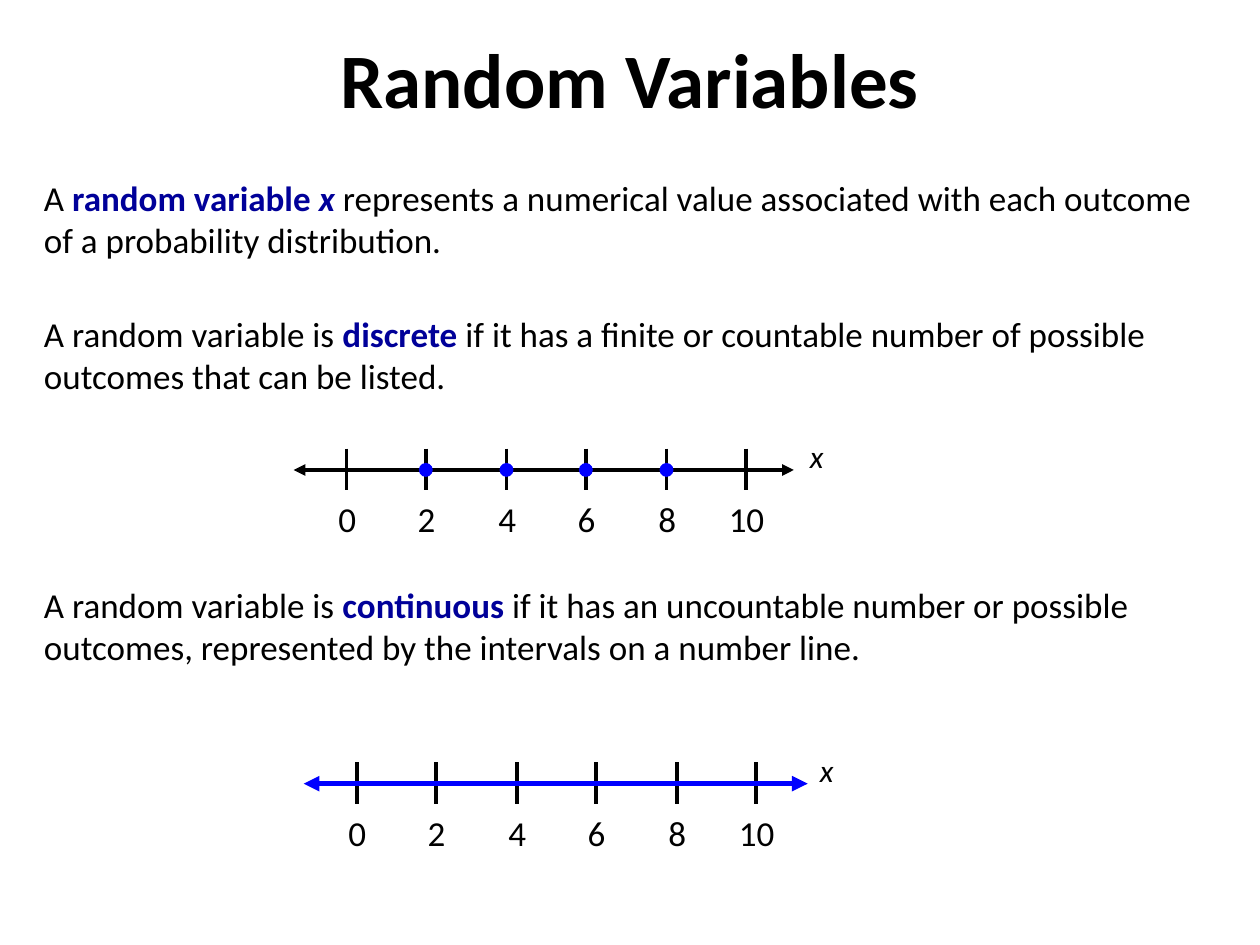
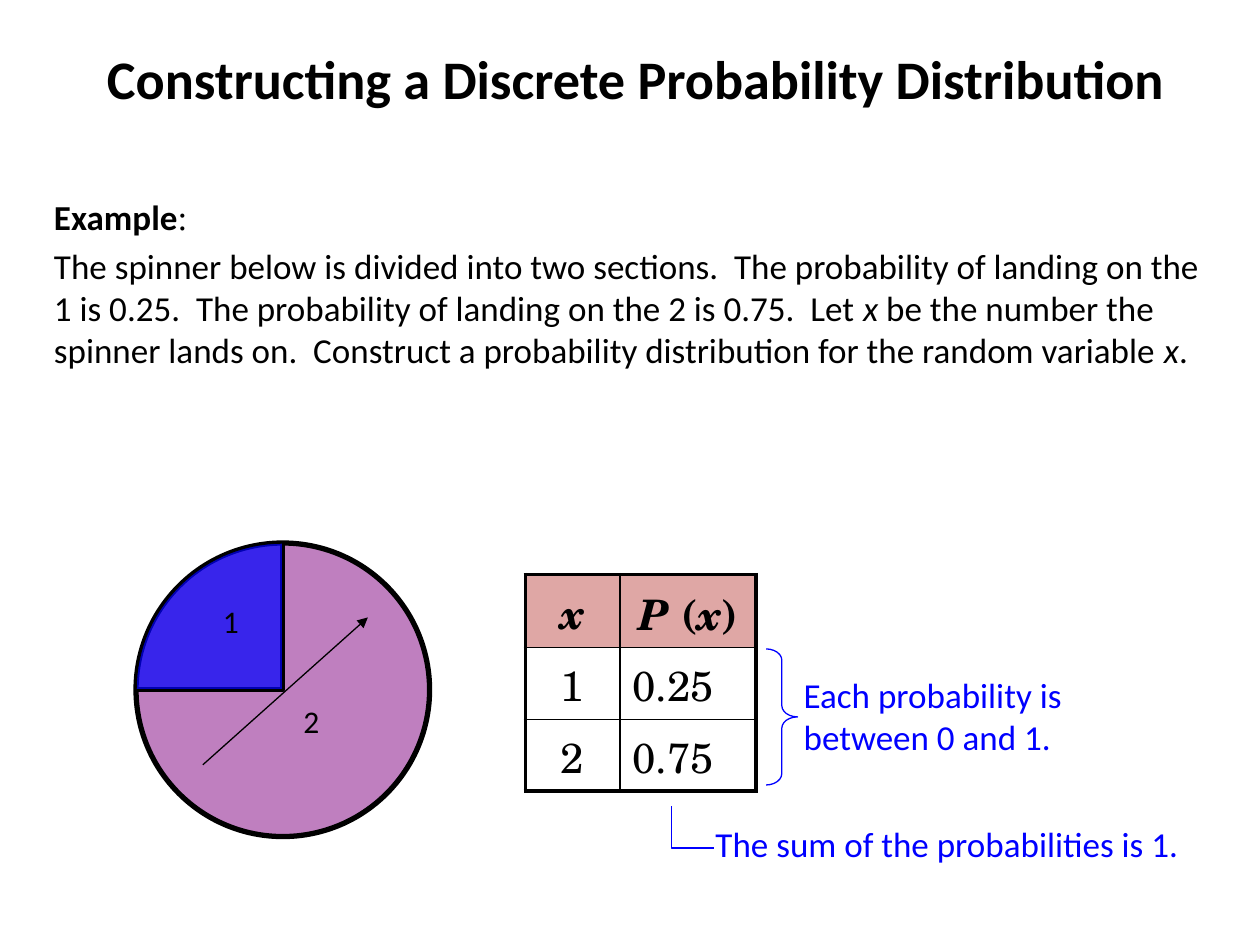
from dataclasses import dataclass, field
from math import cos, pi, sin
from typing import NamedTuple

from lxml.etree import SubElement
from pptx import Presentation
from pptx.dml.color import RGBColor
from pptx.enum.shapes import MSO_CONNECTOR, MSO_SHAPE
from pptx.enum.text import MSO_ANCHOR, PP_ALIGN
from pptx.oxml import parse_xml
from pptx.oxml.ns import nsdecls, qn
from pptx.util import Pt

SCALE = 9144
BLACK, NAVY, BLUE = "000000", "000099", "0000FF"
PURPLE, RED = "800080", "C0504D"
BODY = {"name": "Calibri", "size": Pt(20), "bold": False, "italic": False}
SMALL = {"size": Pt(18)}
BOLD = {"bold": True}
SLANT = {"italic": True}
MATH = {"name": "TeX Gyre Schola", "size": Pt(24)}
THIN, INNER, THICK, HEAVY = 0.75, 1, 2.25, 3


class Box(NamedTuple):
    left: int
    top: int
    width: int
    height: int


class Run(NamedTuple):
    text: str
    form: dict = {}
    color: str = BLACK


@dataclass
class Text:
    box: Box
    paras: list[list[Run]]
    align: PP_ALIGN = PP_ALIGN.LEFT
    anchor: MSO_ANCHOR = MSO_ANCHOR.TOP


@dataclass
class Axis:
    left: int
    top: int
    reach: int
    color: str = BLACK
    width: float = THICK
    dots: list[int] = field(default_factory=list)


def px(value: float) -> int:
    return round(value * SCALE)


def emu(*values: float) -> list[int]:
    return [px(value) for value in values]


def tint(code: str) -> RGBColor:
    return RGBColor.from_string(code)


def fade(node, percent: int) -> None:
    """Make the first solid colour under the node partly clear."""
    SubElement(node.find(".//" + qn("a:srgbClr")), qn("a:alpha"), val=str(percent * 1000))


def write(para, runs: list[Run], align: PP_ALIGN) -> None:
    para.alignment = align
    for part in runs:
        run = para.add_run()
        run.text = part.text
        for key, value in (BODY | part.form).items():
            setattr(run.font, key, value)
        run.font.color.rgb = tint(part.color)


def add_text(slide, text: Text) -> None:
    frame = slide.shapes.add_textbox(*emu(*text.box)).text_frame
    frame.word_wrap = True
    frame.vertical_anchor = text.anchor
    for i, runs in enumerate(text.paras):
        para = frame.add_paragraph() if i else frame.paragraphs[0]
        if i:
            para.space_before = Pt(4)
        write(para, runs, text.align)


def add_title(slide, box: Box, title: str, size: int) -> None:
    run = Run(title, BOLD | {"size": Pt(size)})
    add_text(slide, Text(box, [[run]], PP_ALIGN.CENTER, MSO_ANCHOR.MIDDLE))


def stroke(shape, color: str, width: float) -> None:
    shape.line.color.rgb = tint(color)
    shape.line.width = Pt(width)


def paint(shape, fill: str | None, line: str, width: float, alpha: int = 100) -> None:
    shape.shadow.inherit = False
    if fill is None:
        shape.fill.background()
    else:
        shape.fill.solid()
        shape.fill.fore_color.rgb = tint(fill)
        if alpha < 100:
            fade(shape.element.spPr, alpha)
    stroke(shape, line, width)


def add_shape(slide, kind: MSO_SHAPE, box: Box, fill: str | None, line: str,
              width: float = THIN, alpha: int = 100):
    shape = slide.shapes.add_shape(kind, *emu(*box))
    paint(shape, fill, line, width, alpha)
    return shape


def add_path(slide, points: list[tuple[float, float]], fill: str | None, line: str,
             width: float = THIN, alpha: int = 100) -> None:
    first, *rest = [emu(*point) for point in points]
    path = slide.shapes.build_freeform(*first)
    path.add_line_segments(rest, close=fill is not None)
    paint(path.convert_to_shape(), fill, line, width, alpha)


def add_line(slide, start: tuple[int, int], end: tuple[int, int], color: str = BLACK,
             width: float = THIN, ends: tuple[str, ...] = ()) -> None:
    line = slide.shapes.add_connector(MSO_CONNECTOR.STRAIGHT, *emu(*start, *end))
    stroke(line, color, width)
    for name in ends:
        SubElement(line.line._get_or_add_ln(), qn(f"a:{name}"), type="triangle")
    SubElement(line.element.spPr, qn("a:effectLst"))


def add_axis(slide, axis: Axis) -> None:
    """Draw a number line with ticks at 0, 2, ... 10."""
    spots = {2 * i: axis.left + round(63.4 * i) for i in range(6)}
    for num, x in spots.items():
        add_line(slide, (x, axis.top - 17), (x, axis.top + 16), width=THICK)
        wide = 69 if num > 9 else 51
        box = Box(x - wide // 2, axis.top + 17, wide, 43)
        add_text(slide, Text(box, [[Run(str(num))]], PP_ALIGN.CENTER))
    add_line(slide, (axis.left - 42, axis.top), (axis.left + axis.reach, axis.top),
             axis.color, axis.width, ("headEnd", "tailEnd"))
    box = Box(axis.left + 358, axis.top - 31, 50, 50)
    add_text(slide, Text(box, [[Run("x", SLANT | SMALL)]]))
    for num in axis.dots:
        add_shape(slide, MSO_SHAPE.OVAL, Box(spots[num] - 5, axis.top - 5, 10, 10), BLUE, BLUE)


def add_spinner(slide, box: Box) -> None:
    rad = box.width / 2
    mid_x, mid_y = box.left + rad, box.top + rad
    left, hub, top = (box.left, mid_y), (mid_x, mid_y), (mid_x, box.top)
    add_shape(slide, MSO_SHAPE.OVAL, box, PURPLE, BLACK, HEAVY, 50)
    add_path(slide, [left, hub, top], None, BLACK, HEAVY)
    steps = 30
    turns = [pi / 2 * (1 + i / steps) for i in range(steps + 1)]
    arc = [(mid_x + rad * cos(turn), mid_y - rad * sin(turn)) for turn in turns]
    add_path(slide, [hub, *arc], BLUE, BLACK, THIN, 70)
    for num, x, y in (("1", 167, 473), ("2", 231, 552)):
        add_text(slide, Text(Box(x, y, 58, 50), [[Run(num, SMALL)]]))
    add_line(slide, (161, 607), (292, 490), ends=("tailEnd",))


def add_edges(cell, row: int, col: int, rows: int, cols: int) -> None:
    """Give a cell thick borders on the rim and thin ones inside."""
    rims = {"L": col == 0, "R": col == cols - 1, "T": row == 0, "B": row == rows - 1}
    props = cell._tc.get_or_add_tcPr()
    for i, (side, rim) in enumerate(rims.items()):
        width = Pt(THICK if rim else INNER)
        props.insert(i, parse_xml(
            f'<a:ln{side} {nsdecls("a")} w="{width}"><a:solidFill>'
            f'<a:srgbClr val="{BLACK}"/></a:solidFill></a:ln{side}>'))


def add_grid(slide, box: Box, wides: list[int], highs: list[int],
             cells: list[list[list[Run]]]) -> None:
    table = slide.shapes.add_table(len(highs), len(wides), *emu(*box)).table
    table.first_row = table.horz_banding = False
    for col, wide in zip(table.columns, wides):
        col.width = px(wide)
    for r, high in enumerate(highs):
        table.rows[r].height = px(high)
        for c, runs in enumerate(cells[r]):
            cell = table.cell(r, c)
            cell.vertical_anchor = MSO_ANCHOR.MIDDLE
            if r:
                cell.fill.background()
            else:
                cell.fill.solid()
                cell.fill.fore_color.rgb = tint(RED)
                fade(cell._tc.get_or_add_tcPr(), 50)
            add_edges(cell, r, c, len(highs), len(wides))
            align = PP_ALIGN.LEFT if r and c else PP_ALIGN.CENTER
            write(cell.text_frame.paragraphs[0], runs, align)


def draw_terms(slide) -> None:
    add_title(slide, Box(0, 8, 1000, 108), "Random Variables", 44)
    facts = {
        135: [Run("A "), Run("random variable ", BOLD, NAVY), Run("x ", BOLD | SLANT, NAVY),
              Run("represents a numerical value associated with each outcome "
                  "of a probability distribution.")],
        243: [Run("A random variable is "), Run("discrete", BOLD, NAVY),
              Run(" if it has a finite or countable number of possible "
                  "outcomes that can be listed.")],
        458: [Run("A random variable is "), Run("continuous", BOLD, NAVY),
              Run(" if it has an uncountable number or possible outcomes, "
                  "represented by the intervals on a number line.")],
    }
    for top, runs in facts.items():
        add_text(slide, Text(Box(25, top, 945, 90), [runs]))
    add_axis(slide, Axis(275, 373, 355, dots=[2, 4, 6, 8]))
    add_axis(slide, Axis(283, 622, 358, BLUE, HEAVY))


def draw_sample(slide) -> None:
    add_title(slide, Box(-25, 8, 1058, 108),
              "Constructing a Discrete Probability Distribution", 31)
    add_text(slide, Text(Box(33, 150, 942, 190), [
        [Run("Example", BOLD), Run(":", {"name": "Times New Roman"})],
        [Run("The spinner below is divided into two sections.  The probability of landing "
             "on the 1 is 0.25.  The probability of landing on the 2 is 0.75.  Let "),
         Run("x", SLANT),
         Run(" be the number the spinner lands on.  Construct a probability distribution "
             "for the random variable "),
         Run("x", SLANT), Run(".")],
    ]))
    add_spinner(slide, Box(108, 431, 233, 233))
    head, lean = MATH | BOLD, MATH | BOLD | SLANT
    add_grid(slide, Box(417, 456, 183, 172), [75, 108], [58, 57, 57], [
        [[Run("x", lean)], [Run("P", lean), Run(" (", head), Run("x", lean), Run(")", head)]],
        [[Run("1", MATH)], [Run("0.25", MATH)]],
        [[Run("2", MATH)], [Run("0.75", MATH)]],
    ])
    brace = add_shape(slide, MSO_SHAPE.RIGHT_BRACE, Box(608, 515, 25, 108), None, BLUE)
    brace.adjustments[0] = 0.36
    add_path(slide, [(533, 640), (533, 673), (567, 673)], None, BLUE)
    notes = {
        "Each probability is between 0 and 1.": Box(628, 530, 283, 77),
        "The sum of the probabilities is 1.": Box(558, 648, 458, 43),
    }
    for note, box in notes.items():
        add_text(slide, Text(box, [[Run(note, color=BLUE)]]))


def main() -> None:
    deck = Presentation()
    deck.slide_width, deck.slide_height = emu(1000, 750)
    for draw in (draw_terms, draw_sample):
        draw(deck.slides.add_slide(deck.slide_layouts[6]))
    deck.save("out.pptx")


if __name__ == "__main__":
    main()
